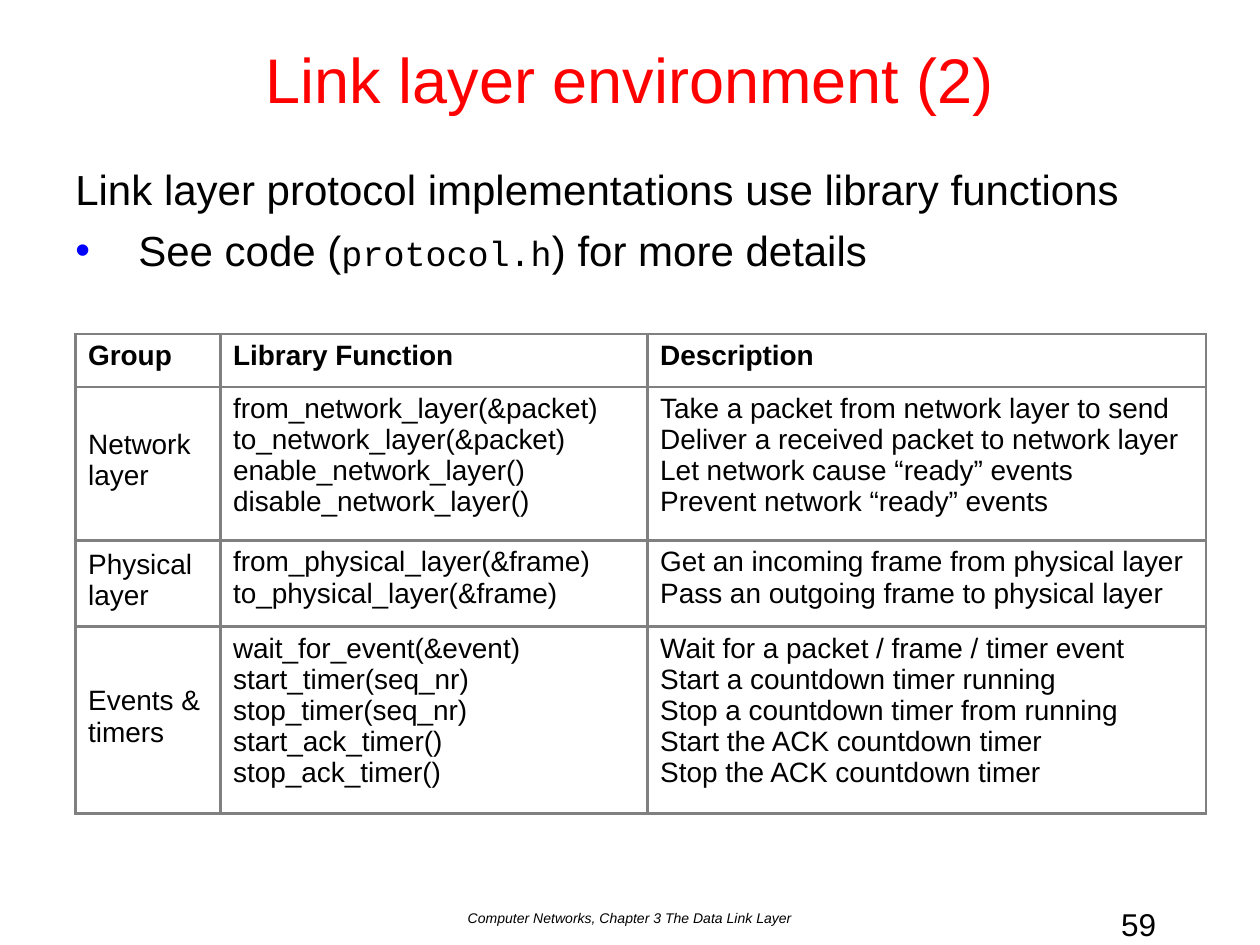
from lxml import etree
from pptx import Presentation
from pptx.dml.color import RGBColor
from pptx.enum.text import MSO_ANCHOR, PP_ALIGN
from pptx.oxml.ns import qn
from pptx.util import Emu, Inches, Pt

CENTER, LEFT = PP_ALIGN.CENTER, PP_ALIGN.LEFT
TOP, MIDDLE = MSO_ANCHOR.TOP, MSO_ANCHOR.MIDDLE
WIDTH, HEIGHT = 10, 7.5
COLORS = {"title": "FF0000", "text": "000000", "bullet": "0000FF",
          "border": "808080"}
SANS, MONO = "Arial", "Courier New"

# Content
TITLE = "Link layer environment (2)"
INTRO = "Link layer protocol implementations use library functions"
DETAIL = [("See code (", SANS, 24), ("protocol.h", MONO, 20),
          (") for more details", SANS, 24)]
FOOTER = "Computer Networks, Chapter 3 The Data Link Layer"
NUMBER = "59"
HEADS = ["Group", "Library Function", "Description"]
GROUPS = [
    ("Network layer", [
        ("from_network_layer(&packet)", "Take a packet from network layer to send"),
        ("to_network_layer(&packet)", "Deliver a received packet to network layer"),
        ("enable_network_layer()", "Let network cause “ready” events"),
        ("disable_network_layer()", "Prevent network “ready” events")]),
    ("Physical layer", [
        ("from_physical_layer(&frame)", "Get an incoming frame from physical layer"),
        ("to_physical_layer(&frame)", "Pass an outgoing frame to physical layer")]),
    ("Events & timers", [
        ("wait_for_event(&event)", "Wait for a packet / frame / timer event"),
        ("start_timer(seq_nr)", "Start a countdown timer running"),
        ("stop_timer(seq_nr)", "Stop a countdown timer from running"),
        ("start_ack_timer()", "Start the ACK countdown timer"),
        ("stop_ack_timer()", "Stop the ACK countdown timer")]),
]
COLS = [1.15, 3.39, 4.43]
ROWS = [0.42, 1.22, 0.68, 1.48]


def write(frame, lines, size=16, color="text", bold=False, italic=False,
          align=LEFT, before=0, bullet=False):
    """Fill a text frame; a line is a string or a list of (text, font, size)."""
    frame.word_wrap = True
    for i, line in enumerate(lines):
        para = frame.paragraphs[0] if i == 0 else frame.add_paragraph()
        para.alignment = align
        if i:
            para.space_before = Pt(before)
        if bullet and i:
            mark(para)
        parts = [(line, SANS, size)] if isinstance(line, str) else line
        for text, face, points in parts:
            run = para.add_run()
            run.text = text
            font = run.font
            font.name, font.size = face, Pt(points)
            font.bold, font.italic = bold, italic
            font.color.rgb = RGBColor.from_string(COLORS[color])


def mark(para):
    """Give a paragraph a hanging coloured bullet."""
    props = para._p.get_or_add_pPr()
    props.set("marL", str(Inches(0.5)))
    props.set("indent", str(-Inches(0.5)))
    tint = etree.SubElement(props, qn("a:buClr"))
    etree.SubElement(tint, qn("a:srgbClr"), val=COLORS["bullet"])
    etree.SubElement(props, qn("a:buFont"), typeface=SANS)
    etree.SubElement(props, qn("a:buChar"), char="•")


def edge(cell):
    """Draw all four borders; they go ahead of the cell's fill."""
    props = cell._tc.get_or_add_tcPr()
    for i, side in enumerate(("lnL", "lnR", "lnT", "lnB")):
        line = etree.Element(qn("a:" + side), w=str(Pt(1.5)))
        fill = etree.SubElement(line, qn("a:solidFill"))
        etree.SubElement(fill, qn("a:srgbClr"), val=COLORS["border"])
        props.insert(i, line)


def box(slide, left, top, width, height, lines, anchor=TOP, **style):
    frame = slide.shapes.add_textbox(
        *map(Inches, (left, top, width, height))).text_frame
    frame.vertical_anchor = anchor
    write(frame, lines, **style)


def grid(slide, left, top):
    """Add the table of library functions."""
    table = slide.shapes.add_table(
        len(ROWS), len(COLS),
        *map(Inches, (left, top, sum(COLS), sum(ROWS)))).table
    table.first_row = table.horz_banding = False
    for col, width in zip(table.columns, COLS):
        col.width = Inches(width)
    for row, height in zip(table.rows, ROWS):
        row.height = Inches(height)
    data = [[[head] for head in HEADS]]
    for name, calls in GROUPS:
        data.append([[name], *zip(*calls)])
    for r, row in enumerate(data):
        for c, lines in enumerate(row):
            cell = table.cell(r, c)
            cell.fill.background()
            cell.margin_left = cell.margin_right = Inches(0.1)
            cell.margin_top, cell.margin_bottom = Inches(0.05), Inches(0.1)
            cell.vertical_anchor = MIDDLE if r and c == 0 else TOP
            write(cell.text_frame, lines, bold=r == 0)
            edge(cell)
    # Room below the last network layer call
    for c in (1, 2):
        table.cell(1, c).text_frame.paragraphs[-1].space_after = Pt(12)


def main():
    deck = Presentation()
    deck.slide_width, deck.slide_height = Inches(WIDTH), Inches(HEIGHT)
    slide = deck.slides.add_slide(deck.slide_layouts[6])

    # Title and body
    box(slide, 0, 0, WIDTH, HEIGHT / 6, [TITLE], anchor=MIDDLE,
        size=36, color="title", align=CENTER)
    box(slide, WIDTH * 0.05, HEIGHT / 6, WIDTH * 0.9, 5.32, [INTRO, DETAIL],
        size=24, before=6, bullet=True)

    # Library functions
    grid(slide, WIDTH * 0.06, 2.65)

    # Footer and slide number
    box(slide, 0, 7.17, WIDTH, 0.33, [FOOTER], size=8, italic=True, align=CENTER)
    box(slide, WIDTH * 0.88, 7.13, 0.55, 0.4, [NUMBER], size=18)
    deck.save("out.pptx")


if __name__ == "__main__":
    main()
